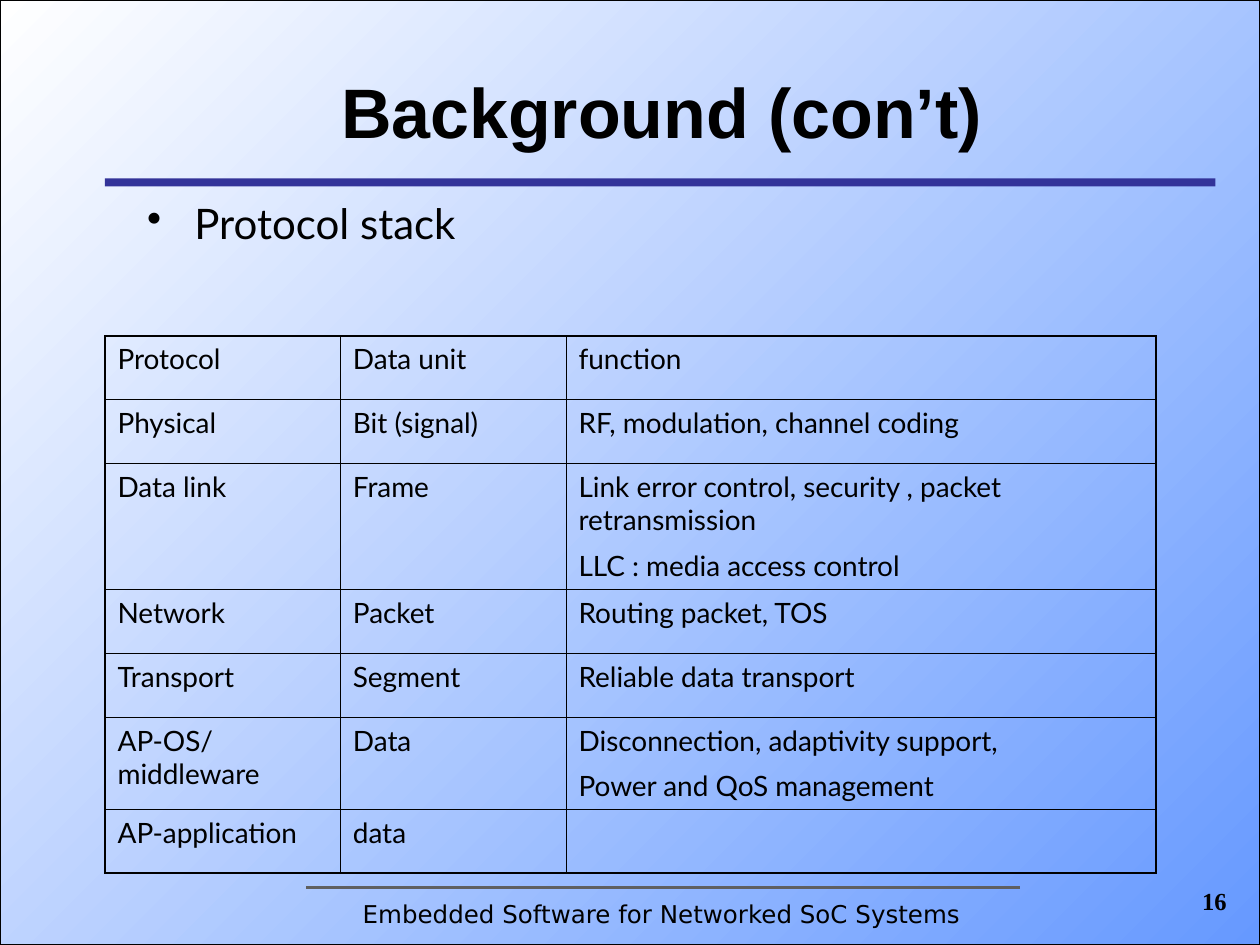
"""Build the protocol stack slide."""
import lxml.etree
import pptx
import pptx.dml.color
import pptx.enum.shapes
import pptx.enum.text
import pptx.oxml.ns
import pptx.util

Pt = pptx.util.Pt
qn = pptx.oxml.ns.qn
ALIGN = pptx.enum.text.PP_ALIGN
RECT = pptx.enum.shapes.MSO_SHAPE.RECTANGLE
INK = "000000"


def shade(code):
    return pptx.dml.color.RGBColor.from_string(code)


def apply(target, values):
    for name, value in values.items():
        setattr(target, name, value)


class Deck:
    title = {"name": "Arial", "size": Pt(40), "bold": True}
    point = {"name": "Lato", "size": Pt(24)}
    entry = {"name": "Lato", "size": Pt(16)}
    foot = {"name": "DejaVu Sans", "size": Pt(14)}
    page = {"name": "Times New Roman", "size": Pt(14), "bold": True}
    thick, thin = 1.08, 0.45

    def __init__(self, show):
        self.slide = show.slides.add_slide(show.slide_layouts[6])
        self.shapes = self.slide.shapes

    def rect(self, box):
        shape = self.shapes.add_shape(RECT, *map(Pt, box))
        shape.shadow.inherit = False
        return shape

    def back(self, box, start, end, angle):
        shape = self.rect(box)
        shape.fill.gradient()
        shape.fill.gradient_angle = angle
        for stop, code in zip(shape.fill.gradient_stops, (start, end)):
            stop.color.rgb = shade(code)
        shape.line.color.rgb = shade(INK)
        shape.line.width = Pt(0.75)

    def bar(self, box, code):
        shape = self.rect(box)
        shape.fill.solid()
        shape.fill.fore_color.rgb = shade(code)
        shape.line.fill.background()

    def rule(self, left, right, top, code, width):
        kind = pptx.enum.shapes.MSO_CONNECTOR.STRAIGHT
        line = self.shapes.add_connector(kind, Pt(left), Pt(top), Pt(right), Pt(top))
        line.line.color.rgb = shade(code)
        line.line.width = Pt(width)
        lxml.etree.SubElement(line._element.spPr, qn("a:effectLst"))

    def fill(self, frame, lines, font, **form):
        frame.word_wrap = True
        for index, line in enumerate(lines):
            para = frame.add_paragraph() if index else frame.paragraphs[0]
            apply(para, form)
            if index:
                para.space_before = Pt(7)
            run = para.add_run()
            run.text = line
            apply(run.font, font)
            run.font.color.rgb = shade(INK)

    def text(self, box, words, font, anchor="TOP", **form):
        frame = self.shapes.add_textbox(*map(Pt, box)).text_frame
        frame.vertical_anchor = getattr(pptx.enum.text.MSO_ANCHOR, anchor)
        self.fill(frame, [words], font, **form)
        return frame.paragraphs[0]

    def bullet(self, box, words, margin, indent):
        props = self.text(box, words, self.point)._p.get_or_add_pPr()
        props.set("marL", str(Pt(margin)))
        props.set("indent", str(Pt(indent)))
        lxml.etree.SubElement(props, qn("a:buChar"), char="•")

    def edge(self, cell, side, width):
        props = cell._tc.get_or_add_tcPr()
        line = lxml.etree.SubElement(props, qn("a:ln" + side), w=str(Pt(width)))
        fill = lxml.etree.SubElement(line, qn("a:solidFill"))
        lxml.etree.SubElement(fill, qn("a:srgbClr"), val=INK)

    def grid(self, left, top, wide, high, rows):
        box = (left, top, sum(wide), sum(high))
        table = self.shapes.add_table(len(high), len(wide), *map(Pt, box)).table
        apply(table, {"first_row": False, "horz_banding": False})
        for column, size in zip(table.columns, wide):
            column.width = Pt(size)
        for row, size in zip(table.rows, high):
            row.height = Pt(size)
        for r, row in enumerate(rows):
            for c, words in enumerate(row):
                cell = table.cell(r, c)
                outer = {"L": c == 0, "R": c == len(wide) - 1,
                         "T": r == 0, "B": r == len(high) - 1}
                for side, rim in outer.items():
                    self.edge(cell, side, self.thick if rim else self.thin)
                cell.fill.background()
                if words:
                    self.fill(cell.text_frame, words.split("\n"), self.entry)


def main():
    show = pptx.Presentation()
    apply(show, {"slide_width": Pt(720), "slide_height": Pt(540)})
    deck = Deck(show)
    deck.back((0, 0, 720, 540), "6699FF", "FFFFFF", 135)
    deck.bar((60, 102, 634.5, 4.5), "333399")
    deck.rule(175, 583, 507, "5F5F5F", 1.5)
    deck.text((60, 24, 636, 78), "Background (con’t)", deck.title, "MIDDLE",
              alignment=ALIGN.CENTER)
    deck.bullet((72, 109.5, 309, 40), "Protocol stack", 32, -27)
    rows = [
        ("Protocol", "Data unit", "function"),
        ("Physical", "Bit (signal)", "RF, modulation, channel coding"),
        ("Data link", "Frame", "Link error control, security , packet retransmission\n"
                               "LLC : media access control"),
        ("Network", "Packet", "Routing packet, TOS"),
        ("Transport", "Segment", "Reliable data transport"),
        ("AP-OS/middleware", "Data", "Disconnection, adaptivity support,\n"
                                     "Power and QoS management"),
        ("AP-application", "data", ""),
    ]
    high = [36.5, 36.5, 72, 36.5, 36.5, 52.5, 36.5]
    deck.grid(60, 192, [134.5, 129, 337], high, rows)
    deck.text((60, 510, 636, 25), "Embedded Software for Networked SoC Systems",
              deck.foot, alignment=ALIGN.CENTER)
    deck.text((630, 502.5, 78, 36), "16", deck.page, alignment=ALIGN.RIGHT)
    show.save("out.pptx")


if __name__ == "__main__":
    main()
